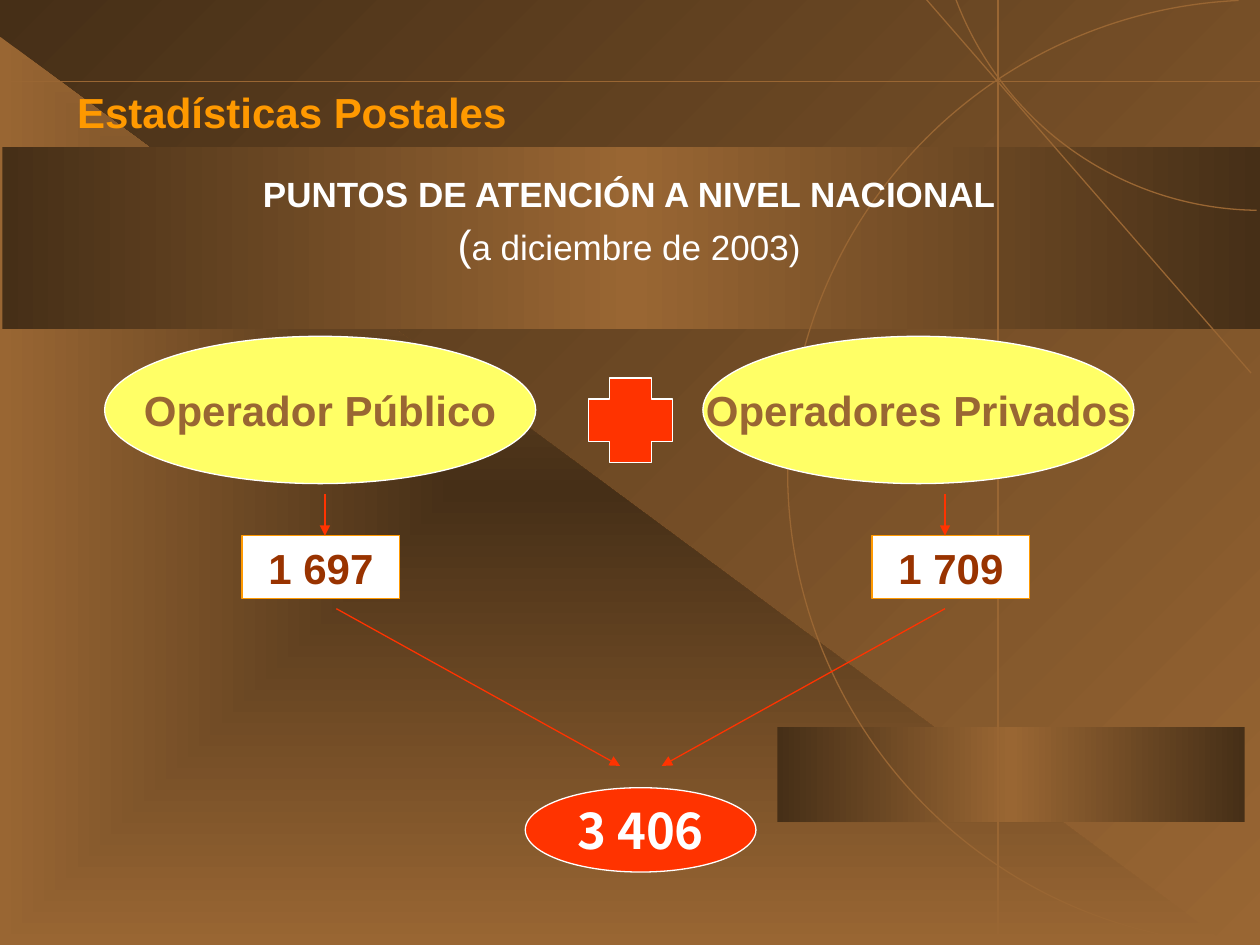
from dataclasses import dataclass
from typing import Optional

from lxml.etree import SubElement
from pptx import Presentation
from pptx.dml.color import RGBColor
from pptx.enum.shapes import MSO_CONNECTOR, MSO_SHAPE
from pptx.enum.text import MSO_ANCHOR, MSO_AUTO_SIZE, PP_ALIGN
from pptx.oxml.ns import qn
from pptx.util import Cm, Pt

BROWN = RGBColor(0x99, 0x66, 0x33)
DARK_BROWN = RGBColor(0x46, 0x2F, 0x17)
ORANGE = RGBColor(0xFF, 0x99, 0x00)
YELLOW = RGBColor(0xFF, 0xFF, 0x66)
RED = RGBColor(0xFF, 0x33, 0x00)
RUST = RGBColor(0x99, 0x33, 0x00)
WHITE = RGBColor(0xFF, 0xFF, 0xFF)

LINE_WIDTH = Pt(0.75)
BAND_STOPS = [(0, DARK_BROWN), (50, BROWN), (100, DARK_BROWN)]


@dataclass
class Box:
    left: float
    top: float
    width: float
    height: float

    def lengths(self) -> tuple:
        return Cm(self.left), Cm(self.top), Cm(self.width), Cm(self.height)


@dataclass
class Node:
    geometry: MSO_SHAPE
    box: Box
    fill: RGBColor
    outline: RGBColor
    label: str = ""
    color: RGBColor = WHITE
    size: int = 24
    font: str = "Arial"


@dataclass
class Line:
    x1: float
    y1: float
    x2: float
    y2: float


@dataclass
class Arc:
    box: Box
    start: float
    end: float


BACKDROP_LINES = [
    Line(25.22, 7.52, 18.64, -0.05),
    Line(20.12, 0, 20.12, 18.9),
    Line(0, 1.65, 25.4, 1.65),
]
ARCS = [
    Arc(Box(15.88, 0, 19.05, 19.05), 92, 267.4),
    Arc(Box(18.85, -8.89, 13.13, 13.13), 90.7, 159.4),
]


def operator_node(left: float, label: str) -> Node:
    return Node(MSO_SHAPE.OVAL, Box(left, 6.78, 8.69, 2.97), YELLOW, WHITE, label, BROWN)


def count_node(left: float, label: str) -> Node:
    return Node(MSO_SHAPE.RECTANGLE, Box(left, 10.8, 3.18, 1.27), WHITE, ORANGE, label, RUST)


NODES = [
    operator_node(2.11, "Operador Público"),
    operator_node(14.17, "Operadores Privados"),
    count_node(4.88, "1 697"),
    count_node(17.58, "1 709"),
    Node(MSO_SHAPE.CROSS, Box(11.86, 7.62, 1.7, 1.7), RED, WHITE),
    Node(MSO_SHAPE.OVAL, Box(10.59, 15.88, 4.65, 1.7), RED, WHITE, "3 406",
         size=28, font="Noto Sans CJK KR"),
]
ARROWS = [
    Line(6.55, 9.96, 6.55, 10.8),
    Line(19.05, 9.96, 19.05, 10.8),
    Line(6.78, 12.27, 12.5, 15.44),
    Line(19.05, 12.27, 13.34, 15.44),
]


def set_gradient(fill, owner, stops: list, angle: Optional[int] = None) -> None:
    """Fill with any number of stops; without an angle they run out from the centre."""
    fill.gradient()
    gradient = owner.find(".//" + qn("a:gradFill"))
    for child in list(gradient):
        gradient.remove(child)
    stop_list = SubElement(gradient, qn("a:gsLst"))
    for position, color in stops:
        stop = SubElement(stop_list, qn("a:gs"), pos=str(position * 1000))
        SubElement(stop, qn("a:srgbClr"), val=str(color))
    if angle is None:
        center = SubElement(gradient, qn("a:path"), path="rect")
        SubElement(center, qn("a:fillToRect"), l="50000", t="50000", r="50000", b="50000")
    else:
        SubElement(gradient, qn("a:lin"), ang=str(angle * 60000), scaled="0")


def add_gradient_shape(slide, geometry: MSO_SHAPE, box: Box, stops: list,
                       angle: Optional[int] = None) -> None:
    shape = slide.shapes.add_shape(geometry, *box.lengths())
    shape.shadow.inherit = False
    shape.line.fill.background()
    set_gradient(shape.fill, shape._element.spPr, stops, angle)


def add_arc(slide, arc: Arc) -> None:
    shape = slide.shapes.add_shape(MSO_SHAPE.ARC, *arc.box.lengths())
    shape.shadow.inherit = False
    # Angles are stored in 1/60000 degree, adjustments in 1/100000.
    shape.adjustments[0] = arc.start * 0.6
    shape.adjustments[1] = arc.end * 0.6
    shape.fill.background()
    shape.line.color.rgb = BROWN
    shape.line.width = LINE_WIDTH


def add_line(slide, line: Line, color: RGBColor, arrow: bool = False) -> None:
    connector = slide.shapes.add_connector(
        MSO_CONNECTOR.STRAIGHT, Cm(line.x1), Cm(line.y1), Cm(line.x2), Cm(line.y2))
    connector.line.color.rgb = color
    connector.line.width = LINE_WIDTH
    if arrow:
        SubElement(connector.line._get_or_add_ln(), qn("a:tailEnd"), type="triangle")
    SubElement(connector._element.spPr, qn("a:effectLst"))


def add_run(paragraph, text: str, size: int, color: RGBColor,
            bold: bool = True, font: str = "Arial") -> None:
    run = paragraph.add_run()
    run.text = text
    run.font.name = font
    run.font.size = Pt(size)
    run.font.bold = bold
    run.font.color.rgb = color


def add_node(slide, node: Node) -> None:
    shape = slide.shapes.add_shape(node.geometry, *node.box.lengths())
    shape.shadow.inherit = False
    shape.fill.solid()
    shape.fill.fore_color.rgb = node.fill
    shape.line.color.rgb = node.outline
    shape.line.width = LINE_WIDTH
    if node.label:
        frame = shape.text_frame
        frame.word_wrap = False
        frame.vertical_anchor = MSO_ANCHOR.MIDDLE
        paragraph = frame.paragraphs[0]
        paragraph.alignment = PP_ALIGN.CENTER
        add_run(paragraph, node.label, node.size, node.color, font=node.font)


def place(slide, placeholder, box: Box) -> None:
    """Position a placeholder and bring it in front of the backdrop."""
    placeholder.left, placeholder.top, placeholder.width, placeholder.height = box.lengths()
    slide.shapes._spTree.append(placeholder._element)


def add_backdrop(slide) -> None:
    set_gradient(slide.background.fill, slide._element,
                 [(0, BROWN), (100, DARK_BROWN)], 225)
    add_gradient_shape(slide, MSO_SHAPE.RIGHT_TRIANGLE, Box(0, 0.74, 24.77, 18.31),
                       [(0, DARK_BROWN), (100, BROWN)])
    for band in (Box(15.67, 14.66, 9.42, 1.91), Box(0.05, 2.97, 25.35, 3.66)):
        add_gradient_shape(slide, MSO_SHAPE.RECTANGLE, band, BAND_STOPS, 180)
    for arc in ARCS:
        add_arc(slide, arc)
    for line in BACKDROP_LINES:
        add_line(slide, line, BROWN)


def write_headings(slide) -> None:
    title, subtitle = slide.shapes.title, slide.placeholders[1]
    place(slide, title, Box(1.3, 1.52, 18.42, 1.47))
    title.text_frame.auto_size = MSO_AUTO_SIZE.NONE
    title.text_frame.vertical_anchor = MSO_ANCHOR.MIDDLE
    heading = title.text_frame.paragraphs[0]
    heading.alignment = PP_ALIGN.LEFT
    add_run(heading, "Estadísticas Postales", 24, ORANGE)

    place(slide, subtitle, Box(1.47, 3.61, 22.43, 1.91))
    frame = subtitle.text_frame
    frame.auto_size = MSO_AUTO_SIZE.NONE
    topic, period = frame.paragraphs[0], frame.add_paragraph()
    for paragraph, space in ((topic, 0), (period, 12.5)):
        properties = paragraph._p.get_or_add_pPr()
        properties.set("marL", "0")
        properties.set("indent", "0")
        SubElement(properties, qn("a:buNone"))
        paragraph.alignment = PP_ALIGN.CENTER
        paragraph.line_spacing = 0.65
        paragraph.space_before = Pt(space)
    add_run(topic, "PUNTOS DE ATENCIÓN A NIVEL NACIONAL", 20, WHITE)
    add_run(period, "(", 24, WHITE, bold=False)
    add_run(period, "a diciembre de 2003)", 20, WHITE, bold=False)


def main() -> None:
    deck = Presentation()
    deck.slide_width, deck.slide_height = Cm(25.4), Cm(19.05)
    slide = deck.slides.add_slide(deck.slide_layouts[1])
    add_backdrop(slide)
    write_headings(slide)
    for node in NODES:
        add_node(slide, node)
    for arrow in ARROWS:
        add_line(slide, arrow, RED, arrow=True)
    deck.save("out.pptx")


if __name__ == "__main__":
    main()
